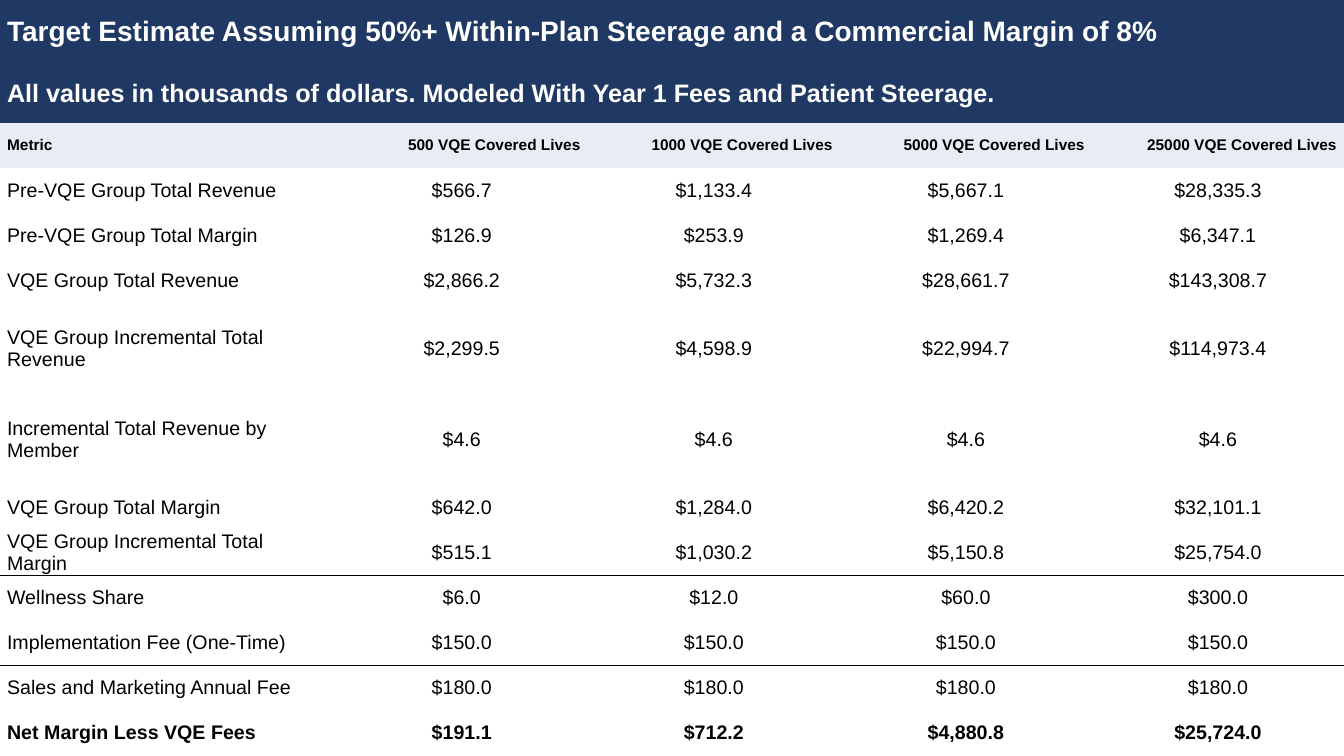
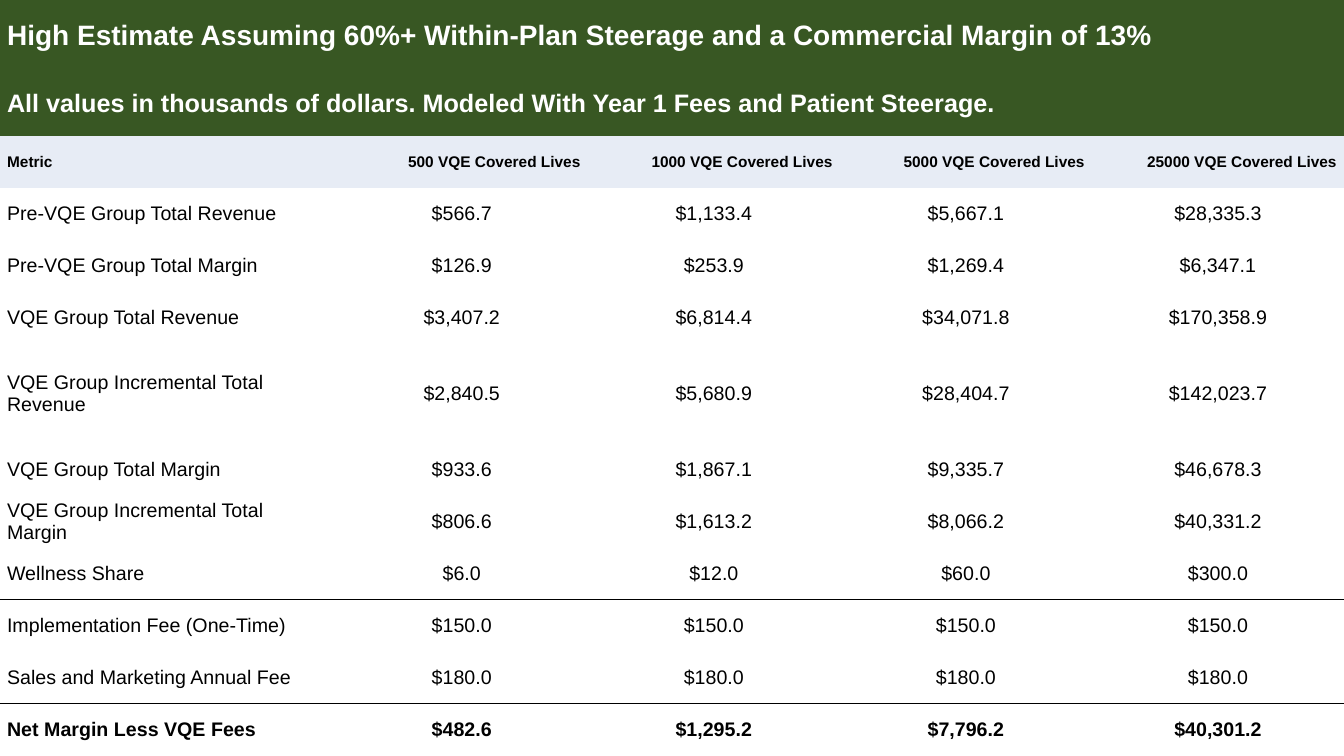
from dataclasses import dataclass

from lxml.etree import SubElement
from pptx import Presentation
from pptx.dml.color import RGBColor
from pptx.enum.text import MSO_ANCHOR, PP_ALIGN
from pptx.oxml.ns import qn
from pptx.util import Inches, Pt


@dataclass(frozen=True)
class Theme:
    font: str = "Arial"
    white: str = "FFFFFF"
    black: str = "000000"
    header_fill: str = "E7ECF5"
    title_size: int = 20
    subtitle_size: int = 18
    header_size: int = 11
    body_size: int = 14
    rule_width: int = 1
    table_style: str = "{2D5ABB26-0587-4C30-8999-92F81FD0307C}"


THEME = Theme()
SLIDE_WIDTH, SLIDE_HEIGHT = 13.33, 7.5
COLUMN_WIDTHS = [3.33] + [2.5] * 4
TEXT_INDENT = 0.07
EDGES = ("a:lnL", "a:lnR", "a:lnT", "a:lnB")

SUBTITLE = "All values in thousands of dollars. Modeled With Year 1 Fees and Patient Steerage."
HEADERS = ["Metric"] + [f"{lives} VQE Covered Lives" for lives in (500, 1000, 5000, 25000)]

PRE_REVENUE = ("Pre-VQE Group Total Revenue", 566.7, 1133.4, 5667.1, 28335.3)
PRE_MARGIN = ("Pre-VQE Group Total Margin", 126.9, 253.9, 1269.4, 6347.1)
WELLNESS = ("Wellness Share", 6, 12, 60, 300)
IMPLEMENTATION = ("Implementation Fee (One-Time)", 150, 150, 150, 150)
MARKETING = ("Sales and Marketing Annual Fee", 180, 180, 180, 180)
REVENUE = "VQE Group Total Revenue"
EXTRA_REVENUE = "VQE Group Incremental Total Revenue"
MEMBER_REVENUE = "Incremental Total Revenue by Member"
MARGIN = "VQE Group Total Margin"
EXTRA_MARGIN = "VQE Group Incremental Total Margin"
NET_MARGIN = "Net Margin Less VQE Fees"
TALL_METRICS = {EXTRA_REVENUE, MEMBER_REVENUE}

ESTIMATES = [
    {
        "title": "Target Estimate Assuming 50%+ Within-Plan Steerage and a Commercial Margin of 8%",
        "band": "203864",
        "band_heights": [0.64, 0.58],
        "tall_height": 0.9,
        "ruled": {EXTRA_MARGIN, IMPLEMENTATION[0]},
        "metrics": [
            PRE_REVENUE,
            PRE_MARGIN,
            (REVENUE, 2866.2, 5732.3, 28661.7, 143308.7),
            (EXTRA_REVENUE, 2299.5, 4598.9, 22994.7, 114973.4),
            (MEMBER_REVENUE, 4.6, 4.6, 4.6, 4.6),
            (MARGIN, 642, 1284, 6420.2, 32101.1),
            (EXTRA_MARGIN, 515.1, 1030.2, 5150.8, 25754),
            WELLNESS,
            IMPLEMENTATION,
            MARKETING,
            (NET_MARGIN, 191.1, 712.2, 4880.8, 25724),
        ],
    },
    {
        "title": "High Estimate Assuming 60%+ Within-Plan Steerage and a Commercial Margin of 13%",
        "band": "385723",
        "band_heights": [0.71, 0.64],
        "tall_height": 0.99,
        "ruled": {WELLNESS[0], MARKETING[0]},
        "metrics": [
            PRE_REVENUE,
            PRE_MARGIN,
            (REVENUE, 3407.2, 6814.4, 34071.8, 170358.9),
            (EXTRA_REVENUE, 2840.5, 5680.9, 28404.7, 142023.7),
            (MARGIN, 933.6, 1867.1, 9335.7, 46678.3),
            (EXTRA_MARGIN, 806.6, 1613.2, 8066.2, 40331.2),
            WELLNESS,
            IMPLEMENTATION,
            MARKETING,
            (NET_MARGIN, 482.6, 1295.2, 7796.2, 40301.2),
        ],
    },
]


def apply(target, values):
    for name, value in values.items():
        setattr(target, name, value)


def write_cell(cell, text, size, color=THEME.black, bold=False, align=PP_ALIGN.LEFT, fill=None):
    margins = dict.fromkeys(("margin_left", "margin_right", "margin_top", "margin_bottom"), 0)
    apply(cell, {**margins, "vertical_anchor": MSO_ANCHOR.MIDDLE})
    if fill:
        cell.fill.solid()
        cell.fill.fore_color.rgb = RGBColor.from_string(fill)
    else:
        cell.fill.background()
    para = cell.text_frame.paragraphs[0]
    para.alignment = align
    properties = para._p.get_or_add_pPr()
    for side in ("marL", "marR"):
        properties.set(side, str(Inches(TEXT_INDENT)))
    span = para.add_run()
    span.text = text
    apply(span.font, {"name": THEME.font, "size": Pt(size), "bold": bold})
    span.font.color.rgb = RGBColor.from_string(color)


def set_borders(cell, ruled_edges):
    properties = cell._tc.get_or_add_tcPr()
    for edge in EDGES:
        line = SubElement(properties, qn(edge), w=str(Pt(THEME.rule_width)))
        if edge in ruled_edges:
            SubElement(SubElement(line, qn("a:solidFill")), qn("a:srgbClr"), val=THEME.black)
        else:
            SubElement(line, qn("a:noFill"))


def row_heights(estimate):
    labels = [HEADERS[0]] + [metric[0] for metric in estimate["metrics"]]
    tall = [label in TALL_METRICS for label in labels]
    tall_height = estimate["tall_height"]
    free = SLIDE_HEIGHT - sum(estimate["band_heights"]) - sum(tall) * tall_height
    plain_height = free / tall.count(False)
    return estimate["band_heights"] + [tall_height if flag else plain_height for flag in tall]


def write_band(table, estimate):
    lines = [(estimate["title"], THEME.title_size), (SUBTITLE, THEME.subtitle_size)]
    for index, (text, size) in enumerate(lines):
        cell = table.cell(index, 0)
        cell.merge(table.cell(index, len(HEADERS) - 1))
        write_cell(cell, text, size, THEME.white, True, fill=estimate["band"])


def write_headers(table, row):
    for column, text in enumerate(HEADERS):
        align = PP_ALIGN.RIGHT if column else PP_ALIGN.LEFT
        write_cell(table.cell(row, column), text, THEME.header_size,
                   bold=True, align=align, fill=THEME.header_fill)


def write_metrics(table, first_row, estimate):
    rule_above = False
    for row, metric in enumerate(estimate["metrics"], first_row):
        label = metric[0]
        rule_below = label in estimate["ruled"]
        flags = {"a:lnT": rule_above, "a:lnB": rule_below}
        ruled_edges = [edge for edge, ruled in flags.items() if ruled]
        for column, value in enumerate(metric):
            cell = table.cell(row, column)
            set_borders(cell, ruled_edges)
            text = f"${value:,.1f}" if column else label
            align = PP_ALIGN.CENTER if column else PP_ALIGN.LEFT
            write_cell(cell, text, THEME.body_size, bold=label == NET_MARGIN, align=align)
        rule_above = rule_below


def add_estimate(deck, estimate):
    page = deck.slides.add_slide(deck.slide_layouts[6])
    heights = row_heights(estimate)
    frame = page.shapes.add_table(len(heights), len(HEADERS), 0, 0,
                                  Inches(sum(COLUMN_WIDTHS)), Inches(SLIDE_HEIGHT))
    table = frame.table
    table._tbl.tblPr.find(qn("a:tableStyleId")).text = THEME.table_style
    apply(table, {"first_row": False, "horz_banding": False})
    for column, width in zip(table.columns, COLUMN_WIDTHS):
        column.width = Inches(width)
    for row, height in zip(table.rows, heights):
        row.height = Inches(height)
    header_row = len(estimate["band_heights"])
    write_band(table, estimate)
    write_headers(table, header_row)
    write_metrics(table, header_row + 1, estimate)


def main():
    deck = Presentation()
    apply(deck, {"slide_width": Inches(SLIDE_WIDTH), "slide_height": Inches(SLIDE_HEIGHT)})
    for estimate in ESTIMATES:
        add_estimate(deck, estimate)
    deck.save("out.pptx")


if __name__ == "__main__":
    main()
